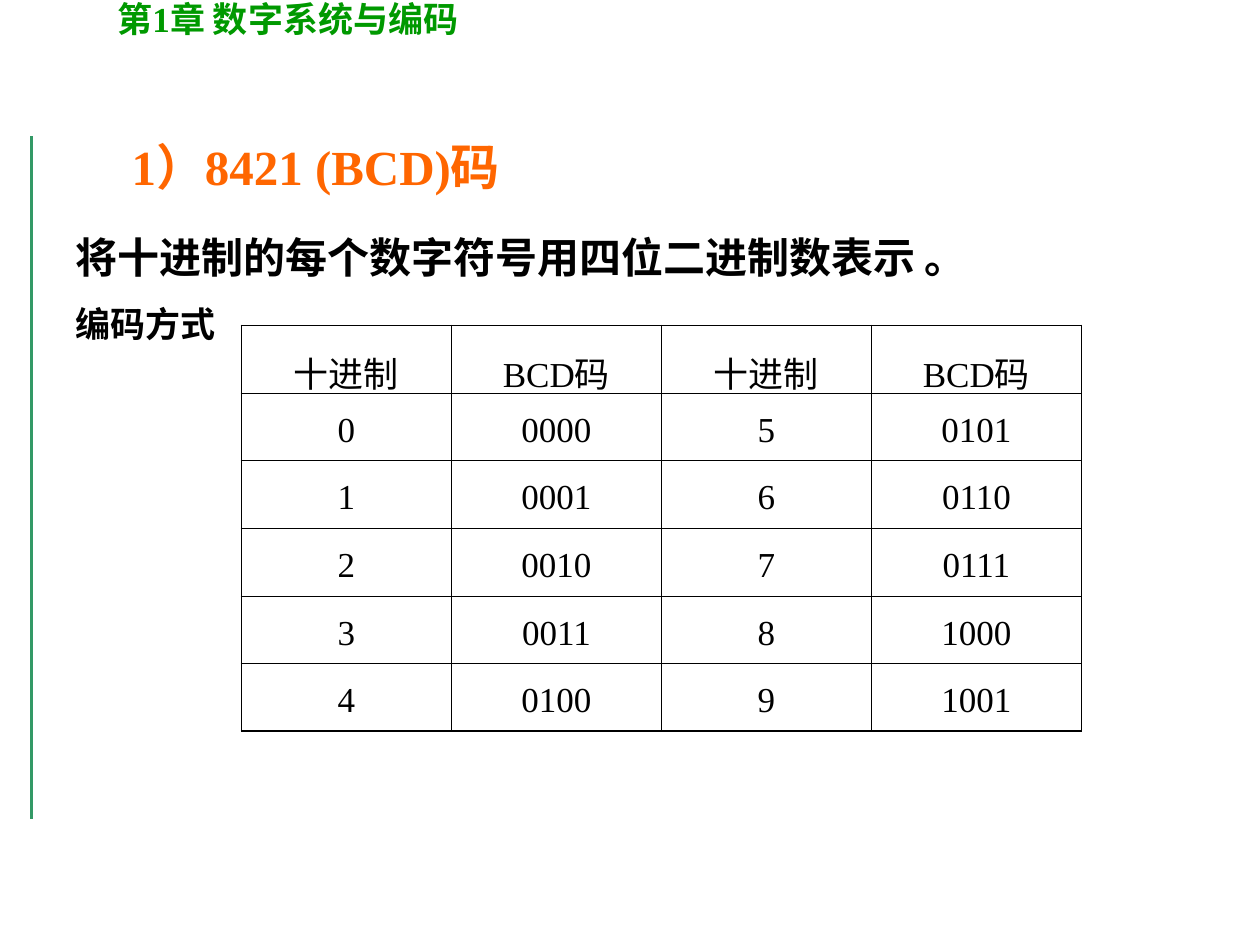
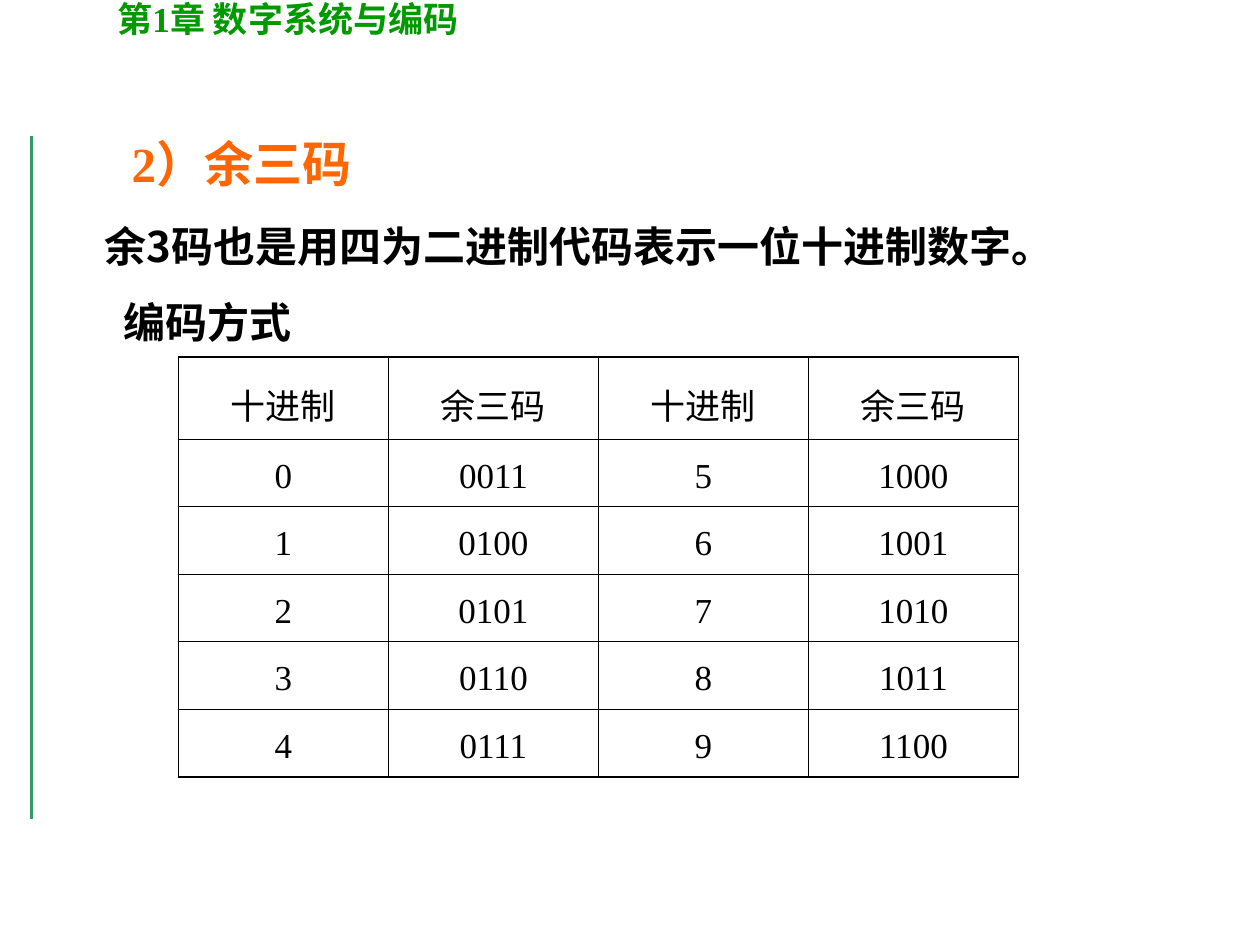
from dataclasses import dataclass

from lxml.etree import SubElement
from pptx import Presentation
from pptx.dml.color import RGBColor
from pptx.enum.shapes import MSO_CONNECTOR as Connector
from pptx.enum.text import MSO_ANCHOR as Anchor, MSO_AUTO_SIZE as AutoSize, PP_ALIGN as Align
from pptx.oxml.ns import qn
from pptx.util import Inches, Pt


@dataclass(frozen=True)
class Theme:
    ink: str = "000000"
    chapter: str = "009900"
    heading: str = "FF6600"
    rail: str = "339966"
    serif: str = "Times New Roman"
    sans: str = "Noto Sans CJK SC"
    heading_size: int = 28
    body_size: int = 24
    small_size: int = 20
    line_spacing: float = 1.3
    rail_width: float = 2.25
    outer_border: float = 1.08
    inner_border: float = 0.45


class Lesson:
    COLUMNS, ROWS = 120, 90
    CELL_WIDTH, CELL_HEIGHT = 20, 6.44

    def __init__(self, theme):
        self.theme = theme
        self.deck = Presentation()
        self.deck.slide_width, self.deck.slide_height = Inches(10), Inches(7.5)
        self.page = None

    def across(self, columns):
        return round(self.deck.slide_width * columns / self.COLUMNS)

    def down(self, rows):
        return round(self.deck.slide_height * rows / self.ROWS)

    def area(self, left, top, width, height):
        return self.across(left), self.down(top), self.across(width), self.down(height)

    def add_page(self):
        self.page = self.deck.slides.add_slide(self.deck.slide_layouts[5])
        self.rail()
        theme = self.theme
        self.text((10, -0.8, 69, 5.3),
                  [(0, theme.small_size, 1, [("第1章 数字系统与编码", theme.serif)])], theme.chapter)

    def rail(self):
        line = self.page.shapes.add_connector(
            Connector.STRAIGHT, self.across(3), self.down(13), self.across(3), self.down(78))
        line.line.color.rgb = RGBColor.from_string(self.theme.rail)
        line.line.width = Pt(self.theme.rail_width)
        SubElement(line.element.spPr, qn("a:effectLst"))

    def span(self, para, text, font, size, color, bold=True):
        span = para.add_run()
        span.text = text
        span.font.name, span.font.size, span.font.bold = font, Pt(size), bold
        span.font.color.rgb = RGBColor.from_string(color)
        SubElement(span.font._element, qn("a:ea"), typeface=self.theme.sans)

    def indent(self, para, columns):
        para._p.get_or_add_pPr().set("marL", str(self.across(columns)))
        para._p.get_or_add_pPr().set("indent", "0")

    def title(self, text, top):
        title = self.page.shapes.title
        title.left, title.top, title.width, title.height = self.area(9, top, 102, 15)
        frame = title.text_frame
        frame.auto_size, frame.vertical_anchor = AutoSize.NONE, Anchor.MIDDLE
        para = frame.paragraphs[0]
        para.alignment = Align.LEFT
        self.indent(para, 2.33)
        self.span(para, text, self.theme.serif, self.theme.heading_size, self.theme.heading)

    def text(self, area, lines, color):
        box = self.page.shapes.add_textbox(*self.area(*area))
        frame = box.text_frame
        frame.word_wrap = True
        for number, (indent, size, spacing, spans) in enumerate(lines):
            para = frame.add_paragraph() if number else frame.paragraphs[0]
            para.line_spacing = spacing
            para.space_before = Pt(size / 4 if number else 0)
            self.indent(para, indent)
            for words, font in spans:
                self.span(para, words, font, size, color)

    def body(self, area, lines):
        spacing = self.theme.line_spacing
        self.text(area, [(indent, size, spacing, spans) for indent, size, spans in lines],
                  self.theme.ink)

    def borders(self, cell, outer_sides):
        for side in "LRTB":
            width = self.theme.outer_border if side in outer_sides else self.theme.inner_border
            line = SubElement(cell._tc.get_or_add_tcPr(), qn(f"a:ln{side}"), w=str(Pt(width)))
            fill = SubElement(line, qn("a:solidFill"))
            SubElement(fill, qn("a:srgbClr"), val=self.theme.ink)

    def code_table(self, left, top, code_name, offset, header_height):
        records = [["十进制", code_name] * 2]
        for digit in range(5):
            records.append([entry for value in (digit, digit + 5)
                            for entry in (str(value), f"{value + offset:04b}")])
        rows, columns = len(records), len(records[0])
        height = header_height + (rows - 1) * self.CELL_HEIGHT
        area = self.area(left, top, columns * self.CELL_WIDTH, height)
        table = self.page.shapes.add_table(rows, columns, *area).table
        table.first_row = table.horz_banding = False
        for r, record in enumerate(records):
            table.rows[r].height = self.down(self.CELL_HEIGHT if r else header_height)
            for c, entry in enumerate(record):
                cell = table.cell(r, c)
                edges = {"L": c == 0, "R": c == columns - 1, "T": r == 0, "B": r == rows - 1}
                self.borders(cell, [side for side, outer in edges.items() if outer])
                cell.fill.background()
                para = cell.text_frame.paragraphs[0]
                para.alignment = Align.CENTER
                para.line_spacing, para.space_before = self.theme.line_spacing, Pt(5)
                self.span(para, entry, self.theme.serif, self.theme.small_size,
                          self.theme.ink, bold=False)


def main():
    theme = Theme()
    lesson = Lesson(theme)

    lesson.add_page()
    lesson.title("1）8421 (BCD)码", 8.3)
    lesson.body((6, 20, 102, 60), [
        (0, theme.body_size, [("将十进制的每个数字符号用四位二进制数表示", theme.sans),
                              (" 。", theme.serif)]),
        (0, theme.small_size, [("编码方式", theme.sans)]),
    ])
    lesson.code_table(23, 31, "BCD码", 0, lesson.CELL_HEIGHT)

    lesson.add_page()
    lesson.title("2）余三码", 8)
    lesson.body((7, 19, 102, 62), [
        (1.8, theme.body_size, [("余3码也是用四为二进制代码表示一位十进制数字。", theme.sans)]),
        (3.6, theme.body_size, [("编码方式", theme.serif)]),
    ])
    lesson.code_table(17, 34, "余三码", 3, 7.8)

    lesson.deck.save("out.pptx")


if __name__ == "__main__":
    main()
